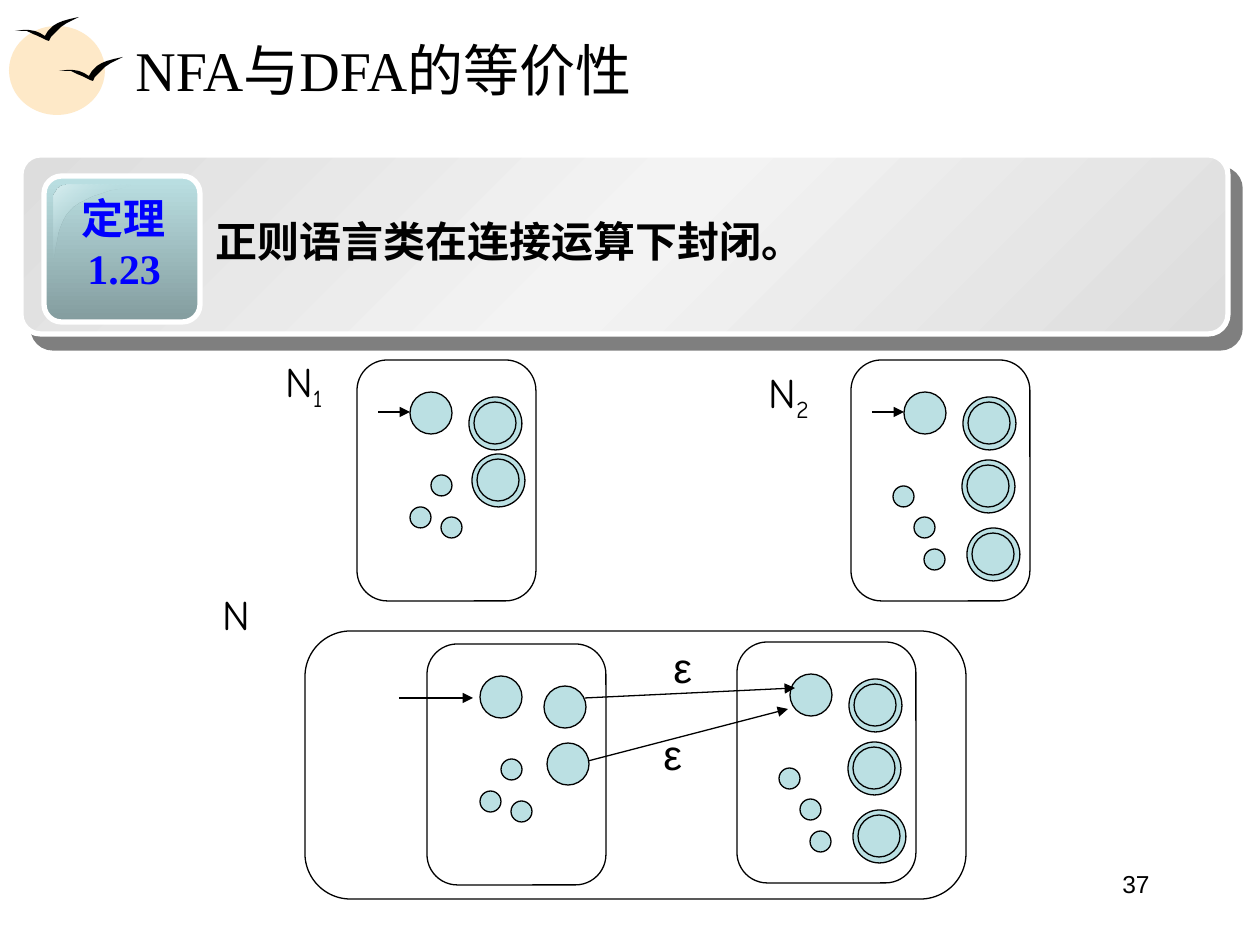
from lxml import etree
from pptx import Presentation
from pptx.dml.color import RGBColor
from pptx.enum.shapes import MSO_CONNECTOR, MSO_SHAPE
from pptx.enum.text import MSO_ANCHOR, PP_ALIGN
from pptx.oxml.ns import qn
from pptx.util import Emu, Pt

ELLIPSE, ROUNDED = MSO_SHAPE.OVAL, MSO_SHAPE.ROUNDED_RECTANGLE
STRAIGHT = MSO_CONNECTOR.STRAIGHT
LEFT, CENTER, RIGHT = PP_ALIGN.LEFT, PP_ALIGN.CENTER, PP_ALIGN.RIGHT
TOP, MIDDLE = MSO_ANCHOR.TOP, MSO_ANCHOR.MIDDLE

SCALE = 914400 / 126  # EMU in one px
COLORS = {
    "ink": "000000", "white": "FFFFFF", "sun": "FEE9C8", "state": "BBE0E3",
    "badge_dark": "839C9E", "gloss": "DAEEF0", "label": "0000FF",
    "panel_edge": "DDDDDD", "panel_middle": "F3F3F3",
}
SERIF, SANS, COMIC = "Times New Roman", "Arial", "Comic Neue"
LARGE, SMALL, RING = 42, 21, 53
AUTOMATON_SIZE = (179, 241)
BIRD = [(0, 14), (8, 13), (14, 13), (20, 14), (25, 16), (30, 19), (33, 14), (38, 9),
        (43, 6), (48, 4), (55, 2), (64, 0), (58, 3), (52, 6), (46, 10), (41, 15),
        (36, 20), (34, 24), (31, 23), (27, 21), (23, 19), (18, 17), (12, 14), (6, 14)]
FIRST = {"inner": [(74, 115), (53, 147), (84, 157)], "accepting": [(117, 42), (120, 99)]}
SECOND = {"inner": [(42, 126), (63, 157), (73, 189)],
          "accepting": [(117, 42), (116, 105), (121, 173)]}


def px(value):
    return Emu(round(value * SCALE))


def color(name):
    return RGBColor.from_string(COLORS[name])


def paint(shape, fill=None, line=None, line_width=0.75):
    shape.shadow.inherit = False
    if fill:
        shape.fill.solid()
        shape.fill.fore_color.rgb = color(fill)
    else:
        shape.fill.background()
    if line:
        shape.line.color.rgb = color(line)
        shape.line.width = Pt(line_width)
    else:
        shape.line.fill.background()


def add_shape(slide, kind, left, top, width, height, corner=None, **style):
    shape = slide.shapes.add_shape(kind, px(left), px(top), px(width), px(height))
    if corner is not None:
        shape.adjustments[0] = corner
    paint(shape, **style)
    return shape


def add_outline(slide, left, top, points, **style):
    builder = slide.shapes.build_freeform(*points[0], scale=SCALE)
    builder.add_line_segments(points[1:], close=True)
    shape = builder.convert_to_shape(px(left), px(top))
    paint(shape, **style)
    return shape


def add_color(parent, name, alpha=None):
    element = etree.SubElement(parent, qn("a:srgbClr"), val=COLORS[name])
    if alpha is not None:
        etree.SubElement(element, qn("a:alpha"), val=str(alpha * 1000))


def set_gradient(shape, angle, stops):
    """Stops are (position %, colour name, opacity % or None)."""
    shape.fill.gradient()
    gradient = shape.element.spPr.find(qn("a:gradFill"))
    stop_list = gradient.find(qn("a:gsLst"))
    for stop in list(stop_list):
        stop_list.remove(stop)
    for position, name, alpha in stops:
        stop = etree.SubElement(stop_list, qn("a:gs"), pos=str(position * 1000))
        add_color(stop, name, alpha)
    gradient.find(qn("a:lin")).set("ang", str(angle * 60000))


def add_arrow(slide, start, end):
    arrow = slide.shapes.add_connector(STRAIGHT, *map(px, start + end))
    arrow.line.color.rgb = color("ink")
    arrow.line.width = Pt(0.75)
    properties = arrow.element.spPr
    etree.SubElement(properties.find(qn("a:ln")), qn("a:tailEnd"), type="triangle")
    etree.SubElement(properties, qn("a:effectLst"))


def add_text(slide, left, top, width, height, lines, size, font, ink="ink", bold=False,
             align=LEFT, anchor=TOP, spacing=None):
    """Each line is a list of (text, font or None, is subscript) runs."""
    box = slide.shapes.add_textbox(px(left), px(top), px(width), px(height))
    frame = box.text_frame
    frame.word_wrap = True
    frame.vertical_anchor = anchor
    for index, line in enumerate(lines):
        paragraph = frame.add_paragraph() if index else frame.paragraphs[0]
        paragraph.alignment = align
        if spacing:
            paragraph.line_spacing = spacing
        for text, own_font, subscript in line:
            run = paragraph.add_run()
            run.text = text
            run.font.size = Pt(size)
            run.font.name = own_font or font
            run.font.bold = bold
            run.font.color.rgb = color(ink)
            if subscript:
                run.font._element.set("baseline", "-25000")


def plain(text):
    return [(text, None, False)]


def curve(start, first, second, end, steps=12):
    """Points on a cubic Bézier curve, without its start."""
    points = []
    for step in range(1, steps + 1):
        t = step / steps
        weights = ((1 - t) ** 3, 3 * t * (1 - t) ** 2, 3 * t * t * (1 - t), t ** 3)
        points.append(tuple(sum(weight * point[axis] for weight, point
                                in zip(weights, (start, first, second, end)))
                            for axis in (0, 1)))
    return points


def draw_heading(slide, left, top):
    add_shape(slide, ELLIPSE, left, top + 9, 96, 89, fill="sun")
    add_shape(slide, ELLIPSE, left + 16, top + 18, 79, 69, fill="sun")
    for x, y in ((50, 40), (6, 0)):
        add_outline(slide, left + x, top + y, BIRD, fill="ink")
    add_text(slide, left + 114, top + 9, 1075, 87, [plain("NFA与DFA的等价性")], 32, SERIF,
             anchor=MIDDLE)


def draw_theorem(slide, left, top, width, height):
    panel = add_shape(slide, ROUNDED, left, top, width, height, corner=0.11,
                      line="white", line_width=3)
    set_gradient(panel, 45, [(0, "panel_edge", None), (50, "panel_middle", None),
                             (100, "panel_edge", None)])
    shadow = etree.SubElement(panel.element.spPr.find(qn("a:effectLst")), qn("a:outerShdw"),
                              dist=str(int(Pt(10.6))), dir=str(49 * 60000), algn="ctr",
                              rotWithShape="0")
    add_color(shadow, "ink", 50)

    badge = add_shape(slide, ROUNDED, left + 23, top + 21, 156, 146, corner=0.12,
                      line="white", line_width=3)
    set_gradient(badge, 90, [(0, "state", None), (100, "badge_dark", None)])
    gloss_points = [(15, 0), *curve((15, 0), (6, 0), (0, 7), (0, 15)), (0, 73),
                    *curve((0, 73), (3, 73), (1, 38), (20, 22)),
                    *curve((20, 22), (41, 5), (77, 4), (76, 0))]
    gloss = add_outline(slide, left + 33, top + 30, gloss_points)
    set_gradient(gloss, 45, [(0, "gloss", None), (50, "state", 0), (100, "gloss", None)])

    add_text(slide, left + 44, top + 31, 118, 113, [plain("定理"), plain("1.23")], 24, SERIF,
             ink="label", bold=True, align=CENTER)
    statement = [*plain("正则语言类在连接运算下封闭"), ("。", SERIF, False)]
    add_text(slide, left + 182, top + 49, 1008, 68, [statement], 24, SANS, bold=True,
             spacing=1.1)


def draw_automaton(slide, left, top, inner, accepting, rings=True, entry=True):
    def add_state(x, y, size):
        add_shape(slide, ELLIPSE, left + x, top + y, size, size, fill="state", line="ink")

    add_shape(slide, ROUNDED, left, top, *AUTOMATON_SIZE, corner=0.17, line="ink")
    if entry:
        add_arrow(slide, (left + 21, top + 52), (left + 53, top + 52))
    add_state(53, 32, LARGE)
    for x, y in inner:
        add_state(x, y, SMALL)
    for x, y in accepting:
        if rings:
            add_state(x - 5, y - 5, RING)
        add_state(x, y, LARGE)


def draw_concatenation(slide, left, top, width, height):
    add_shape(slide, ROUNDED, left, top, width, height, corner=0.17, line="ink")
    draw_automaton(slide, left + 122, top + 13, **FIRST, rings=False, entry=False)
    draw_automaton(slide, left + 432, top + 11, **SECOND, entry=False)
    for start, end in (((94, 67), (168, 67)), ((280, 67), (490, 57)), ((283, 130), (483, 78))):
        add_arrow(slide, (left + start[0], top + start[1]), (left + end[0], top + end[1]))
    for x, y in ((356, 4), (346, 91)):
        add_text(slide, left + x, top + y, 44, 63, [plain("ε")], 24, SANS)


def draw_name(slide, left, top, width, subscript=""):
    runs = plain("N")
    if subscript:
        runs.append((subscript, None, True))
    add_text(slide, left, top, width, 70, [runs], 24, COMIC)


def main():
    presentation = Presentation()
    presentation.slide_width, presentation.slide_height = px(1260), px(945)
    slide = presentation.slides.add_slide(presentation.slide_layouts[6])
    draw_heading(slide, 9, 17)
    draw_theorem(slide, 21, 155, 1207, 179)
    draw_name(slide, 273, 349, 73, "1")
    draw_automaton(slide, 357, 360, **FIRST)
    draw_name(slide, 756, 360, 95, "2")
    draw_automaton(slide, 851, 360, **SECOND)
    draw_name(slide, 210, 582, 73)
    draw_concatenation(slide, 305, 631, 661, 268)
    add_text(slide, 868, 863, 294, 66, [plain("37")], 14, SANS, align=RIGHT)
    presentation.save("out.pptx")


if __name__ == "__main__":
    main()
